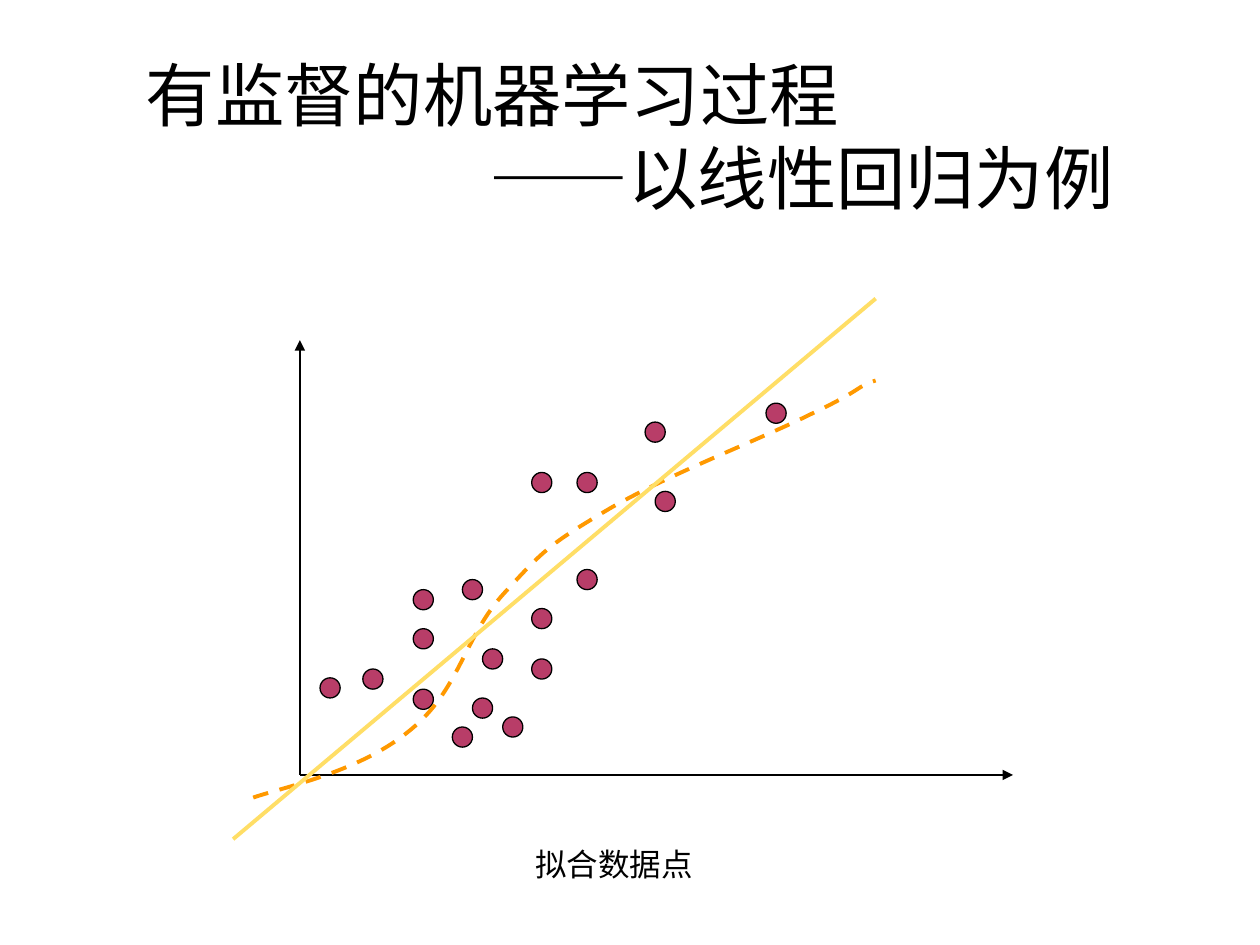
import pptx
import pptx.util
import pptx.dml.color
import pptx.enum.dml
import pptx.enum.shapes
import pptx.enum.text
import pptx.oxml.ns
import pptx.oxml.xmlchemy
from pptx.util import Inches


def color(value):
    return pptx.dml.color.RGBColor.from_string(value)


def add_line(x1, y1, x2, y2, stroke, width):
    c = s.shapes.add_connector(pptx.enum.shapes.MSO_CONNECTOR.STRAIGHT,
                               Inches(x1), Inches(y1), Inches(x2), Inches(y2))
    c.line.color.rgb = color(stroke)
    c.line.width = pptx.util.Pt(width)
    c._element.spPr.append(pptx.oxml.xmlchemy.OxmlElement("a:effectLst"))
    return c


prs = pptx.Presentation()
prs.slide_width, prs.slide_height = Inches(10), Inches(7.5)
s = prs.slides.add_slide(prs.slide_layouts[6])

title = s.shapes.add_textbox(Inches(1.06), Inches(0.45), Inches(8.44), Inches(1.25))
tf = title.text_frame
tf.word_wrap = True
tf.vertical_anchor = pptx.enum.text.MSO_ANCHOR.MIDDLE
for i, (text, indent) in enumerate([("有监督的机器学习过程", 0), ("——以线性回归为例", 2.73)]):
    p = tf.add_paragraph() if i else tf.paragraphs[0]
    p._p.get_or_add_pPr().set("marL", str(Inches(indent)))
    r = p.add_run()
    r.text = text
    r.font.name = "Calibri"
    r.font.size = pptx.util.Pt(39.6)
    r.font.color.rgb = color("000000")

for x, y in [(8.04, 6.15), (2.38, 2.7)]:
    axis = add_line(2.38, 6.15, x, y, "000000", 0.75)
    arrow = pptx.oxml.xmlchemy.OxmlElement("a:tailEnd")
    arrow.set("type", "triangle")
    axis.line._get_or_add_ln().append(arrow)

points = [(4.58, 4.52), (3.67, 4.6), (3.28, 4.99), (3.83, 5.15), (6.08, 3.2), (3.75, 5.54),
          (4.22, 4.83), (3.59, 5.77), (2.88, 5.31), (4.58, 3.75), (4.22, 3.75), (5.2, 3.9),
          (3.28, 4.68), (3.28, 5.47), (5.12, 3.35), (4.22, 5.23), (3.99, 5.69), (2.54, 5.38)]
for x, y in points:
    sp = s.shapes.add_shape(pptx.enum.shapes.MSO_SHAPE.OVAL,
                            Inches(x), Inches(y), Inches(0.16), Inches(0.16))
    sp.shadow.inherit = False
    sp.fill.solid()
    sp.fill.fore_color.rgb = color("B83D68")
    sp.line.color.rgb = color("000000")
    sp.line.width = pptx.util.Pt(0.75)

controls = [(2.24, 6.25), (2.85, 6.13), (3.25, 5.8), (3.65, 5.48), (3.68, 5.06), (4, 4.71),
            (4.32, 4.36), (4.36, 4.32), (4.85, 4.03), (5.34, 3.75), (6.03, 3.49), (6.45, 3.28),
            (6.87, 3.08), (6.79, 3.07), (6.95, 3.02)]
builder = s.shapes.build_freeform(Inches(2.01), Inches(6.33))
builder.add_line_segments([(Inches(x), Inches(y)) for x, y in controls], close=False)
curve = builder.convert_to_shape()
segments = list(curve._element.iter(pptx.oxml.ns.qn("a:lnTo")))
for i in range(0, len(segments), 3):
    bezier = pptx.oxml.xmlchemy.OxmlElement("a:cubicBezTo")
    segments[i].addprevious(bezier)
    for segment in segments[i:i + 3]:
        bezier.append(segment[0])
        segment.getparent().remove(segment)
curve.shadow.inherit = False
curve.fill.background()
curve.line.color.rgb = color("FF9900")
curve.line.width = pptx.util.Pt(2.25)
curve.line.dash_style = pptx.enum.dml.MSO_LINE.DASH

add_line(1.85, 6.66, 6.95, 2.37, "FFDE66", 2.25)

caption = s.shapes.add_textbox(Inches(4.15), Inches(6.66), Inches(1.45), Inches(0.4))
tf = caption.text_frame
tf.word_wrap = False
tf.auto_size = pptx.enum.text.MSO_AUTO_SIZE.SHAPE_TO_FIT_TEXT
r = tf.paragraphs[0].add_run()
r.text = "拟合数据点"
r.font.name = "Arial"
r.font.size = pptx.util.Pt(18)
r.font.color.rgb = color("000000")

prs.save("out.pptx")
